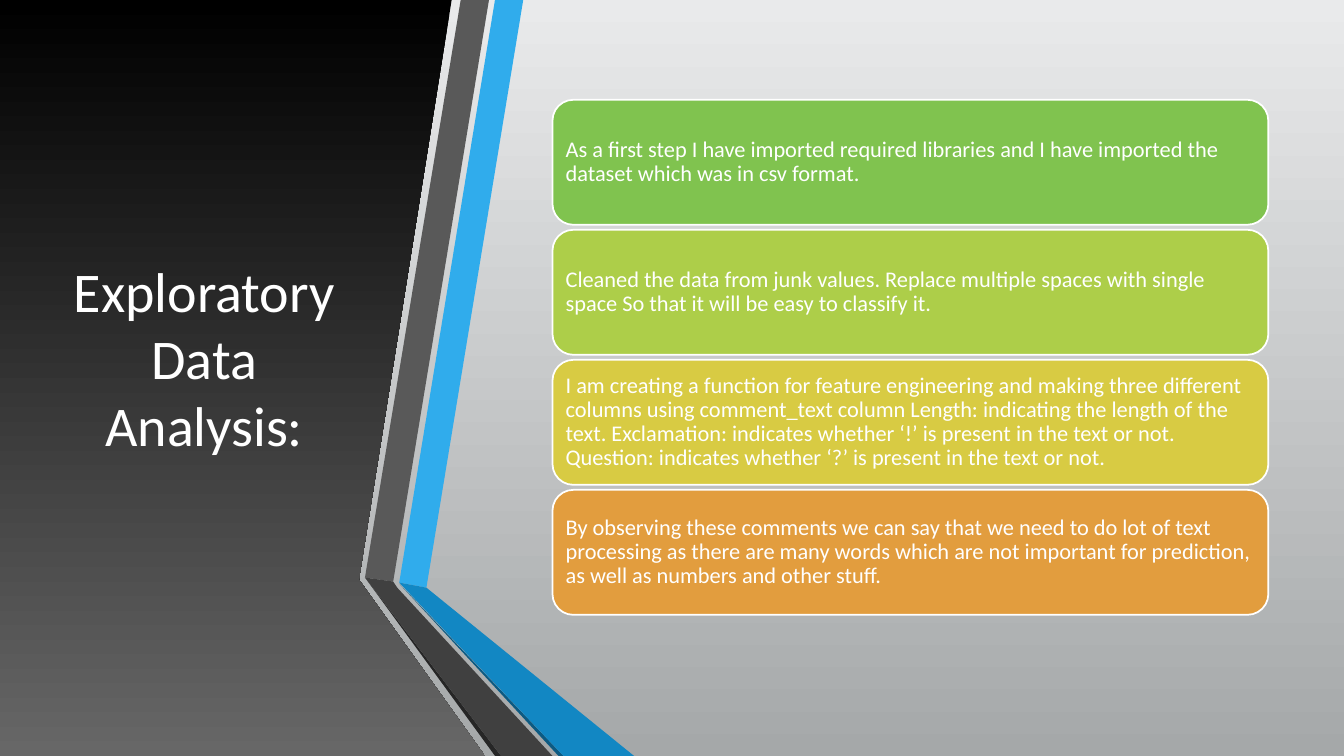
from pptx import Presentation
from pptx.dml.color import RGBColor
from pptx.enum.shapes import MSO_SHAPE as Shape
from pptx.enum.text import MSO_ANCHOR as Anchor, MSO_AUTO_SIZE as AutoSize, PP_ALIGN as Align
from pptx.util import Inches, Pt


def rgb(value):
    return RGBColor.from_string(value)


def write(box, text, size=16, color="FFFFFF", align=Align.LEFT, spacing=1.0, inset=0.1):
    frame = box.text_frame
    frame.word_wrap = True
    frame.auto_size = AutoSize.NONE
    frame.vertical_anchor = Anchor.MIDDLE
    frame.margin_left = frame.margin_right = Inches(inset)
    frame.margin_top = frame.margin_bottom = Inches(inset)
    para = frame.paragraphs[0]
    para.alignment = align
    para.line_spacing = spacing
    span = para.add_run()
    span.text = text
    span.font.name = "Calibri"
    span.font.size = Pt(size)
    span.font.color.rgb = rgb(color)


deck = Presentation()
deck.slide_width, deck.slide_height = Inches(13.33), Inches(7.5)
page = deck.slides.add_slide(deck.slide_layouts[5])

# Dark panel and folded ribbons, back to front
outlines = [
    (None, [(0, 0), (4.48, 0), (3.56, 5.75), (4.81, 7.5), (0, 7.5)]),
    ("30ACEC", [(3.96, 5.78), (4.23, 5.83), (5.19, 0), (4.91, 0)]),
    ("595959", [(4.85, 0), (4.57, 0), (3.62, 5.73), (3.9, 5.77)]),
    ("262626", [(3.62, 5.73), (4.91, 7.5), (4.97, 7.5)]),
    ("0C5A82", [(3.96, 5.79), (5.54, 7.5), (5.59, 7.5)]),
    ("1287C3", [(3.96, 5.78), (5.59, 7.5), (6.29, 7.5), (4.23, 5.83)]),
    ("404040", [(5.48, 7.5), (3.94, 5.83), (3.9, 5.77), (3.62, 5.73), (4.97, 7.5)]),
]
gradients = [(page.background.fill, "E9EAEB", "A5A8A9")]
for color, points in outlines:
    corners = [(Inches(x), Inches(y)) for x, y in points]
    builder = page.shapes.build_freeform(*corners[0])
    builder.add_line_segments(corners[1:], close=True)
    outline = builder.convert_to_shape()
    outline.shadow.inherit = False
    outline.line.fill.background()
    if color:
        outline.fill.solid()
        outline.fill.fore_color.rgb = rgb(color)
    else:
        gradients.append((outline.fill, "000000", "676767"))

for fill, top_color, bottom_color in gradients:
    fill.gradient()
    fill.gradient_angle = 270
    for stop, color in zip(fill.gradient_stops, (top_color, bottom_color)):
        stop.color.rgb = rgb(color)

title = page.shapes.title
title.left, title.top = Inches(0.58), Inches(0.75)
title.width, title.height = Inches(2.89), Inches(5.58)
write(title, "Exploratory Data Analysis:", size=40, align=Align.CENTER)
page.shapes.element.append(title.element)  # bring the title in front of the panel

steps = [
    ("80C34F", "As a first step I have imported required libraries and I have imported "
               "the dataset which was in csv format."),
    ("ADCE49", "Cleaned the data from junk values. Replace multiple spaces with single "
               "space So that it will be easy to classify it."),
    ("D8CB43", "I am creating a function for feature engineering and making three different "
               "columns using comment_text column Length: indicating the length of the text. "
               "Exclamation: indicates whether ‘!’ is present in the text or not. "
               "Question: indicates whether ‘?’ is present in the text or not."),
    ("E29D3E", "By observing these comments we can say that we need to do lot of text "
               "processing as there are many words which are not important for prediction, "
               "as well as numbers and other stuff."),
]
for row, (color, text) in enumerate(steps):
    card = page.shapes.add_shape(Shape.ROUNDED_RECTANGLE, Inches(5.48),
                                 Inches(0.99 + 1.29 * row), Inches(7.1), Inches(1.24))
    card.shadow.inherit = False
    card.fill.solid()
    card.fill.fore_color.rgb = rgb(color)
    card.line.color.rgb = rgb("FFFFFF")
    card.line.width = Pt(1.25)
    write(card, text, spacing=0.9, inset=0.07)

deck.save("out.pptx")
